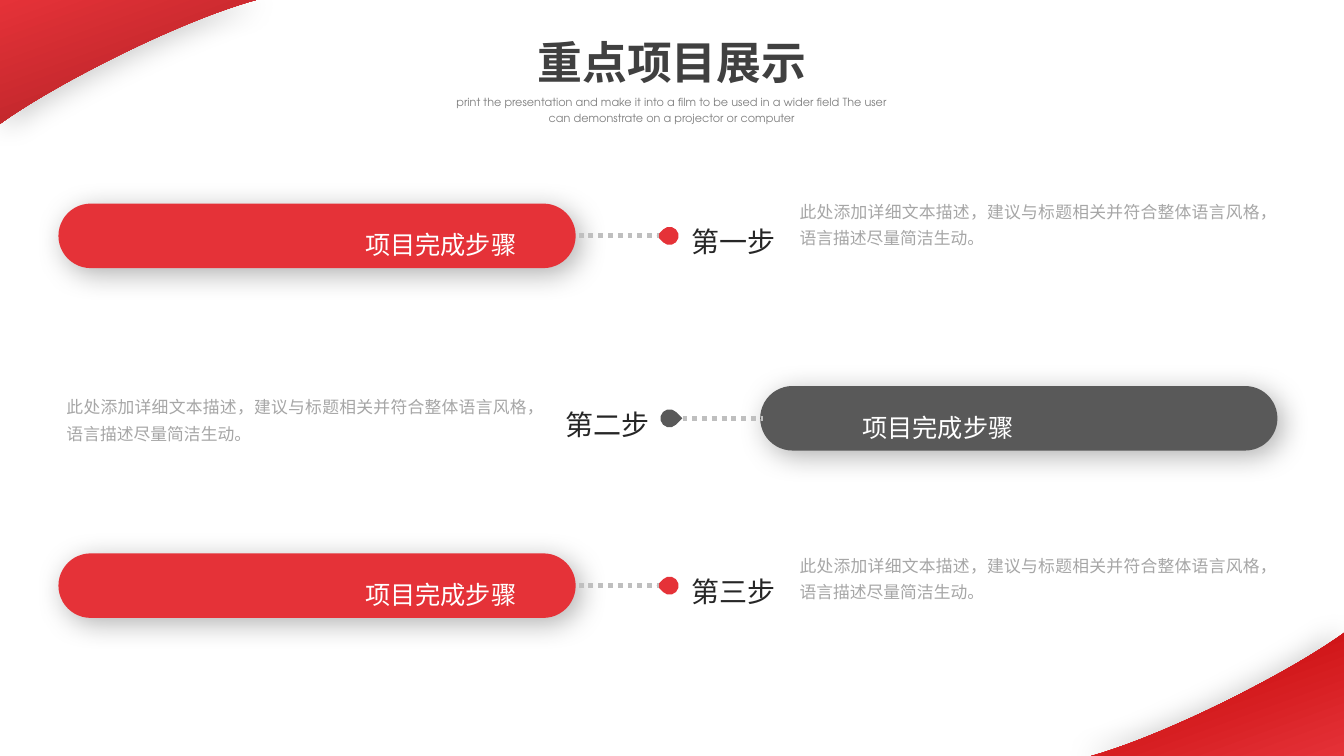
from lxml import etree
from pptx import Presentation
from pptx import util as u
from pptx.dml.color import RGBColor
from pptx.enum import dml, shapes, text
from pptx.oxml import ns

COLORS = {"red": "E53238", "dark_red": "AC2125", "deep_red": "C00000",
          "gray": "595959", "dots": "BFBFBF", "title": "404040",
          "subtitle": "808080", "step": "262626", "body": "A6A6A6",
          "white": "FFFFFF"}
CJK_FONT = "Noto Sans CJK SC"
LATIN_FONT = "TeX Gyre Adventor"
LABEL = "项目完成步骤"
DESCRIPTION = "此处添加详细文本描述，建议与标题相关并符合整体语言风格，语言描述尽量简洁生动。"
ALIGN = text.PP_ALIGN


def write_text(shape, content, size, color, font=CJK_FONT, align=ALIGN.LEFT,
               spacing=1.3, bold=False, wrap=True, inset=None, grow=True):
    frame = shape.text_frame
    frame.word_wrap = wrap
    frame.auto_size = (text.MSO_AUTO_SIZE.SHAPE_TO_FIT_TEXT if grow
                       else text.MSO_AUTO_SIZE.NONE)
    frame.vertical_anchor = text.MSO_ANCHOR.TOP
    if inset is not None:
        frame.margin_left = frame.margin_right = u.Inches(inset)
        frame.margin_top = frame.margin_bottom = u.Inches(inset)
    paragraph = frame.paragraphs[0]
    paragraph.alignment = align
    paragraph.line_spacing = spacing
    run = paragraph.add_run()
    run.text = content
    run.font.size = u.Pt(size)
    run.font.bold = bold
    run.font.name = font
    run.font.color.rgb = RGBColor.from_string(COLORS[color])
    east_asian = etree.SubElement(run.font._element, ns.qn("a:ea"))
    east_asian.set("typeface", CJK_FONT)


def add_shadow(shape, opacity, direction):
    shape.shadow.inherit = False
    effects = shape._element.spPr.find(ns.qn("a:effectLst"))
    shadow = etree.SubElement(
        effects, ns.qn("a:outerShdw"), blurRad=str(u.Pt(20)), dist=str(u.Pt(5)),
        dir=str(direction * 60000), algn="ctr", rotWithShape="0")
    color = etree.SubElement(shadow, ns.qn("a:srgbClr"), val="000000")
    etree.SubElement(color, ns.qn("a:alpha"), val=str(opacity * 1000))


presentation = Presentation()
presentation.slide_width = u.Inches(13.33)
presentation.slide_height = u.Inches(7.5)
slide = presentation.slides.add_slide(presentation.slide_layouts[5])

# Curved corners: Bezier control points, corner, end colour, angle, shadow direction
corners = [
    ([(2.54, 0), (1.74, 0.22), (0.49, 0.87), (0, 1.23)], (0, 0), "dark_red", 290, 45),
    ([(10.79, 7.51), (11.59, 7.29), (12.84, 6.64), (13.33, 6.28)], (13.33, 7.51),
     "deep_red", 110, 180),
]
for controls, corner, end_color, angle, direction in corners:
    points = []
    for step in range(41):
        t = step / 40
        weights = [(1 - t) ** 3, 3 * t * (1 - t) ** 2, 3 * t ** 2 * (1 - t), t ** 3]
        points.append([u.Inches(sum(w * point[axis] for w, point in zip(weights, controls)))
                       for axis in (0, 1)])
    builder = slide.shapes.build_freeform(u.Inches(corner[0]), u.Inches(corner[1]))
    builder.add_line_segments(points, close=True)
    shape = builder.convert_to_shape()
    shape.fill.gradient()
    shape.fill.gradient_angle = angle
    for stop, name in zip(shape.fill.gradient_stops, ("red", end_color)):
        stop.color.rgb = RGBColor.from_string(COLORS[name])
    shape.line.fill.background()
    add_shadow(shape, 20, direction)

# Title and subtitle
title = slide.shapes.title
title.left, title.top = u.Inches(4.33), u.Inches(0.29)
title.width, title.height = u.Inches(4.67), u.Inches(0.64)
write_text(title, "重点项目展示", 32, "title", font=LATIN_FONT, align=ALIGN.CENTER,
           spacing=1.0, bold=True)
subtitle = slide.shapes.add_textbox(u.Inches(4.33), u.Inches(0.87),
                                    u.Inches(4.67), u.Inches(0.42))
write_text(subtitle, "print the presentation and make it into a film to be used in a "
           "wider field The user can demonstrate on a projector or computer",
           8, "subtitle", font=LATIN_FONT, align=ALIGN.CENTER, spacing=1.2)

# Steps: name, bar top, description top, whether the bar is on the left
steps = [("第一步", 2.02, 1.94, True),
         ("第二步", 3.83, 3.88, False),
         ("第三步", 5.49, 5.45, True)]
for name, top, description_top, bar_left in steps:
    color = RGBColor.from_string(COLORS["red" if bar_left else "gray"])

    # Marker and bar
    marker = slide.shapes.add_shape(shapes.MSO_SHAPE.TEAR, u.Inches(6.55),
                                    u.Inches(top + 0.23), u.Inches(0.18), u.Inches(0.18))
    marker.rotation = 225 if bar_left else 45
    marker.shadow.inherit = False
    bar = slide.shapes.add_shape(shapes.MSO_SHAPE.ROUNDED_RECTANGLE,
                                 u.Inches(0.58 if bar_left else 7.54), u.Inches(top),
                                 u.Inches(5.13), u.Inches(0.64))
    bar.adjustments[0] = 0.5
    add_shadow(bar, 30, 45)
    for shape in (marker, bar):
        shape.fill.solid()
        shape.fill.fore_color.rgb = color
        shape.line.fill.background()

    # Dotted link
    start = 5.74 if bar_left else 6.77
    link = slide.shapes.add_connector(shapes.MSO_CONNECTOR.STRAIGHT,
                                      u.Inches(start), u.Inches(top + 0.32),
                                      u.Inches(start + 0.8), u.Inches(top + 0.32))
    link.line.color.rgb = RGBColor.from_string(COLORS["dots"])
    link.line.width = u.Pt(3.5)
    link.line.dash_style = dml.MSO_LINE.ROUND_DOT
    etree.SubElement(link._element.spPr, ns.qn("a:effectLst"))

    # Step name, bar label and description
    step_box = slide.shapes.add_textbox(u.Inches(6.76 if bar_left else 3.82),
                                        u.Inches(top + 0.06), u.Inches(2.72), u.Inches(0.5))
    write_text(step_box, name, 20, "step", align=ALIGN.LEFT if bar_left else ALIGN.RIGHT)
    label_box = slide.shapes.add_textbox(u.Inches(0.52 if bar_left else 8.43),
                                         u.Inches(top + 0.12),
                                         u.Inches(4.7 if bar_left else 1.72), u.Inches(0.46))
    write_text(label_box, LABEL, 18, "white", align=ALIGN.RIGHT, wrap=bar_left)
    description_box = slide.shapes.add_textbox(u.Inches(7.93 if bar_left else 0.66),
                                               u.Inches(description_top),
                                               u.Inches(4.74), u.Inches(0.74))
    write_text(description_box, DESCRIPTION, 12, "body", align=ALIGN.JUSTIFY,
               inset=0, grow=False)

presentation.save("out.pptx")
